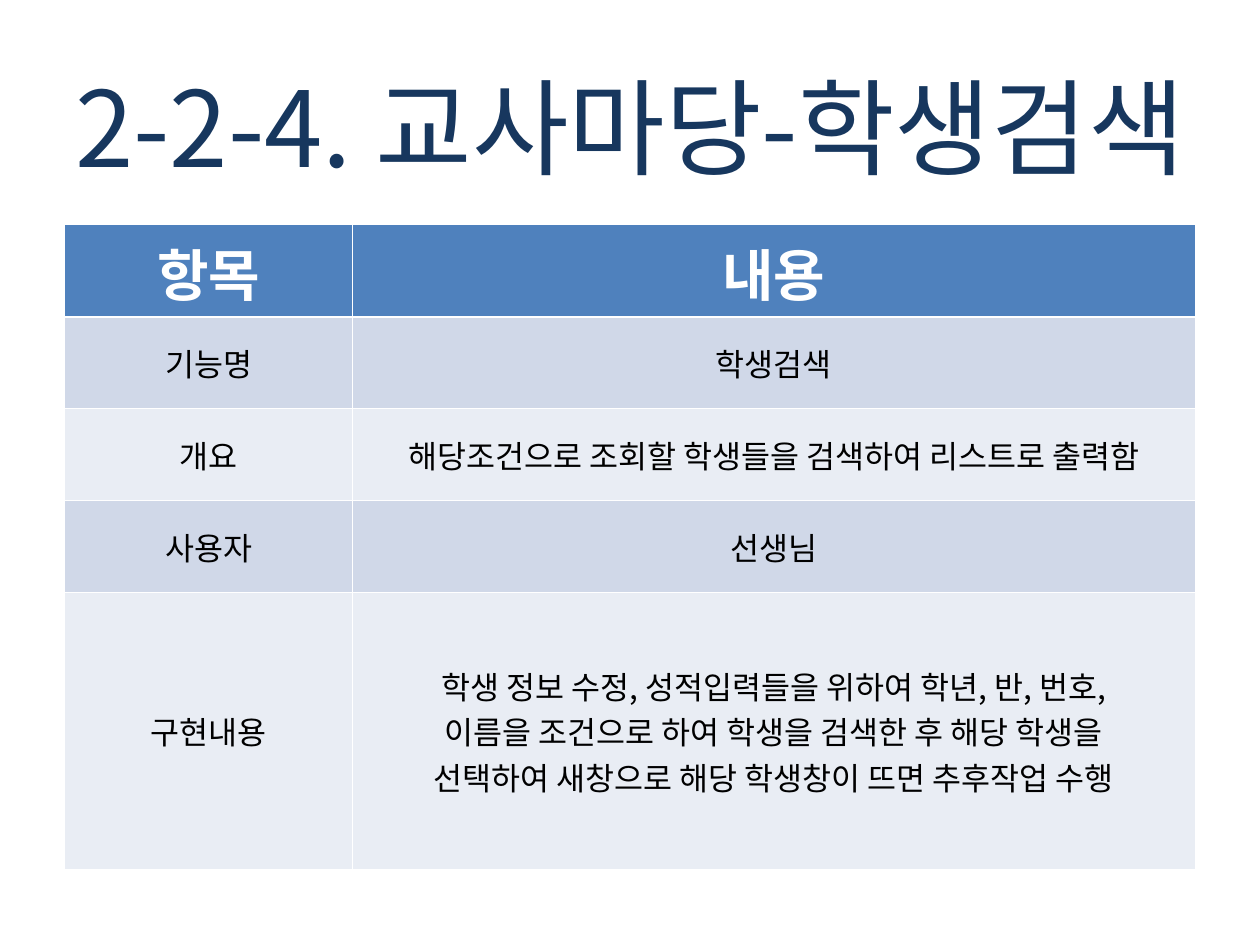
from lxml.etree import SubElement
from pptx import Presentation
from pptx.dml.color import RGBColor
from pptx.enum.text import MSO_ANCHOR, PP_ALIGN
from pptx.oxml.ns import qn
from pptx.util import Pt

HEADINGS = ("항목", "내용")
DETAILS = [
    ("기능명", "학생검색"),
    ("개요", "해당조건으로 조회할 학생들을 검색하여 리스트로 출력함"),
    ("사용자", "선생님"),
    ("구현내용", "학생 정보 수정, 성적입력들을 위하여 학년, 반, 번호,\v"
                "이름을 조건으로 하여 학생을 검색한 후 해당 학생을\v"
                "선택하여 새창으로 해당 학생창이 뜨면 추후작업 수행"),
]
FONT = "Noto Sans CJK KR"
ROW = 52.6


def color(value):
    return RGBColor.from_string(value)


def write(frame, text, size=18, ink="000000", bold=False):
    paragraph = frame.paragraphs[0]
    paragraph.text = text
    paragraph.alignment = PP_ALIGN.CENTER
    for run in paragraph.runs:
        run.font.name = FONT
        run.font.size = Pt(size)
        run.font.bold = bold
        run.font.color.rgb = color(ink)
        SubElement(run.font._element, qn("a:ea"), typeface=FONT)


class FeatureSlide:
    heading_fill = "4F81BD"
    bands = ("D0D8E8", "E9EDF4")
    border = "FFFFFF"
    thin, thick = 0.45, 1.47

    def __init__(self, deck):
        self.slide = deck.slides.add_slide(deck.slide_layouts[6])

    def title(self, text, left, top, width, height):
        box = self.slide.shapes.add_textbox(Pt(left), Pt(top), Pt(width), Pt(height))
        box.text_frame.word_wrap = True
        write(box.text_frame, text, size=60, ink="17375E")

    def edge(self, cell, side, width):
        line = SubElement(cell._tc.get_or_add_tcPr(), qn(f"a:ln{side}"), w=str(Pt(width)))
        SubElement(SubElement(line, qn("a:solidFill")), qn("a:srgbClr"), val=self.border)

    def cell(self, cell, text, row):
        heading = row == 0
        for side in "LRTB":
            under_heading = (row, side) in ((0, "B"), (1, "T"))
            self.edge(cell, side, self.thick if under_heading else self.thin)
        cell.fill.solid()
        cell.fill.fore_color.rgb = color(self.heading_fill if heading else self.bands[(row - 1) % 2])
        cell.vertical_anchor = MSO_ANCHOR.MIDDLE
        if heading:
            write(cell.text_frame, text, size=32, ink="FFFFFF", bold=True)
        else:
            write(cell.text_frame, text)

    def table(self, rows, left, top, widths, heights):
        table = self.slide.shapes.add_table(
            len(rows), len(widths), Pt(left), Pt(top), Pt(sum(widths)), Pt(sum(heights))).table
        for column, width in zip(table.columns, widths):
            column.width = Pt(width)
        for index, (texts, height) in enumerate(zip(rows, heights)):
            table.rows[index].height = Pt(height)
            for cell, text in zip(table.rows[index].cells, texts):
                self.cell(cell, text, index)


def main():
    deck = Presentation()
    deck.slide_width, deck.slide_height = Pt(720), Pt(540)
    feature = FeatureSlide(deck)
    feature.title("2-2-4. 교사마당-학생검색", 0, 32, 720, 79)
    feature.table([HEADINGS, *DETAILS], 37, 128.4, (164.4, 481.6), [ROW] * 4 + [3 * ROW])
    deck.save("out.pptx")


if __name__ == "__main__":
    main()
